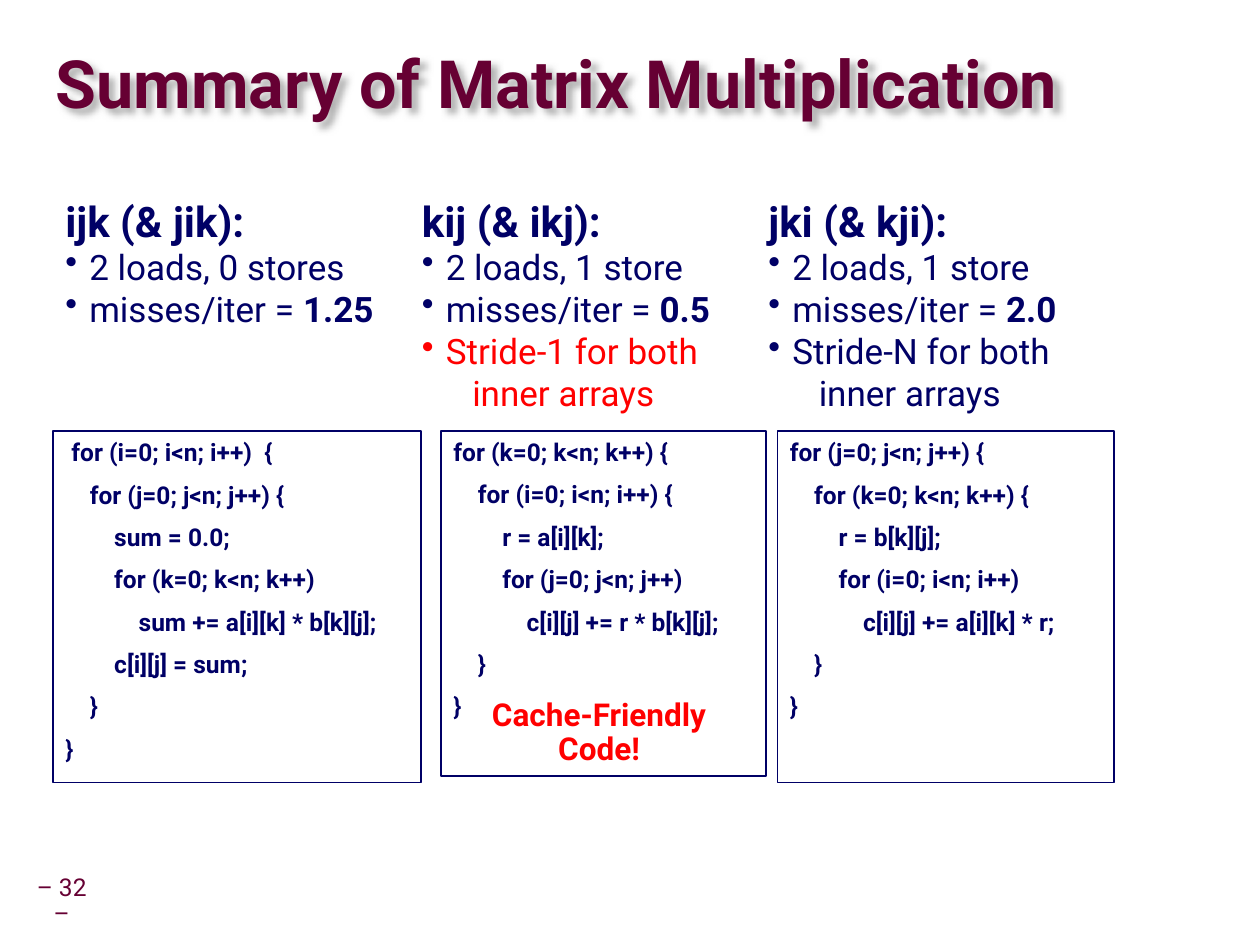
from lxml import etree
from pptx import Presentation
from pptx.dml.color import RGBColor
from pptx.enum.shapes import MSO_SHAPE
from pptx.enum.text import MSO_ANCHOR, PP_ALIGN
from pptx.oxml.ns import qn
from pptx.util import Inches, Pt

RECT = MSO_SHAPE.RECTANGLE
TOP, MIDDLE = MSO_ANCHOR.TOP, MSO_ANCHOR.MIDDLE
LEFT, CENTER = PP_ALIGN.LEFT, PP_ALIGN.CENTER
FONT = "Roboto"
COLORS = {"wine": "660033", "navy": "000066", "red": "FF0000", "gray": "808080"}

# Content
TITLE = "Summary of Matrix Multiplication"
PAGE = "– 32 –"
NOTE = ["Cache-Friendly", "Code!"]
# One entry per loop order; boxes are left, top, width, height
LOOPS = [
    {"head": "ijk (& jik):", "loads": "2 loads, 0 stores", "miss": "1.25",
     "stride": [], "tone": "navy",
     "text": (0.42, 1.5, 2.68, 1.16), "box": (0.42, 3.42, 2.92, 2.79),
     "code": [" for (i=0; i<n; i++)  {",
              "    for (j=0; j<n; j++) {",
              "        sum = 0.0;",
              "        for (k=0; k<n; k++)",
              "            sum += a[i][k] * b[k][j];",
              "        c[i][j] = sum;",
              "    }",
              "}"]},
    {"head": "kij (& ikj):", "loads": "2 loads, 1 store", "miss": "0.5",
     "stride": ["Stride-1 for both", "inner arrays"], "tone": "red",
     "text": (3.25, 1.5, 2.56, 1.85), "box": (3.5, 3.42, 2.58, 2.74),
     "code": ["for (k=0; k<n; k++) {",
              "    for (i=0; i<n; i++) {",
              "        r = a[i][k];",
              "        for (j=0; j<n; j++)",
              "            c[i][j] += r * b[k][j];",
              "    }",
              "}"]},
    {"head": "jki (& kji):", "loads": "2 loads, 1 store", "miss": "2.0",
     "stride": ["Stride-N for both", "inner arrays"], "tone": "navy",
     "text": (6, 1.5, 2.54, 1.85), "box": (6.17, 3.42, 2.67, 2.79),
     "code": ["for (j=0; j<n; j++) {",
              "    for (k=0; k<n; k++) {",
              "        r = b[k][j];",
              "        for (i=0; i<n; i++)",
              "            c[i][j] += a[i][k] * r;",
              "    }",
              "}"]},
]


def rgb(name):
    return RGBColor.from_string(COLORS[name])


def setup(shape, anchor=TOP, pad=(0.1, 0.05)):
    frame = shape.text_frame
    frame.word_wrap = True
    frame.vertical_anchor = anchor
    frame.margin_left = frame.margin_right = Inches(pad[0])
    frame.margin_top = frame.margin_bottom = Inches(pad[1])
    return frame


def add_text(slide, place, **opts):
    return setup(slide.shapes.add_textbox(*map(Inches, place)), **opts)


def add_line(frame, runs, align=LEFT, gap=0, pitch=None, hang=None, bullet=False):
    """Add a paragraph of (text, size, bold, color) runs."""
    first = not frame.paragraphs[0].runs
    para = frame.paragraphs[0] if first else frame.add_paragraph()
    para.alignment = align
    if gap and not first:
        para.space_before = Pt(gap)
    if pitch:
        para.line_spacing = pitch
    if hang:
        props = para._p.get_or_add_pPr()
        props.set("marL", str(Inches(hang)))
        props.set("indent", str(-Inches(hang) if bullet else 0))
        if bullet:
            etree.SubElement(props, qn("a:buChar")).set("char", "•")
    for text, size, bold, color in runs:
        run = para.add_run()
        run.text = text
        run.font.name = FONT
        run.font.size = Pt(size)
        run.font.bold = bold
        run.font.color.rgb = rgb(color)


def add_shadow(shape):
    effect = etree.SubElement(shape._element.spPr, qn("a:effectLst"))
    outer = etree.SubElement(effect, qn("a:outerShdw"), blurRad=str(Pt(4)),
                             dist=str(Pt(4)), dir="2700000", algn="tl")
    tint = etree.SubElement(outer, qn("a:srgbClr"), val=COLORS["gray"])
    etree.SubElement(tint, qn("a:alpha"), val="60000")


def add_facts(slide, loop):
    frame = add_text(slide, loop["text"])
    add_line(frame, [(loop["head"], 24, True, "navy")])
    facts = [[(loop["loads"], 20, False, "navy")],
             [("misses/iter = ", 20, False, "navy"),
              (loop["miss"], 20, True, "navy")]]
    facts += [[(text, 20, False, loop["tone"])] for text in loop["stride"][:1]]
    for runs in facts:
        add_line(frame, runs, hang=0.19, bullet=True)
    for text in loop["stride"][1:]:
        add_line(frame, [(text, 20, False, loop["tone"])], hang=0.4)


def add_code(slide, loop):
    box = slide.shapes.add_shape(RECT, *map(Inches, loop["box"]))
    box.shadow.inherit = False
    box.fill.background()
    box.line.color.rgb = rgb("navy")
    box.line.width = Pt(1)
    frame = setup(box)
    for text in loop["code"]:
        add_line(frame, [(text, 14, True, "navy")], gap=7.4)


def main():
    deck = Presentation()
    deck.slide_width, deck.slide_height = Inches(10), Inches(7.5)
    slide = deck.slides.add_slide(deck.slide_layouts[6])

    # Page number and title
    page = add_text(slide, (0.19, 7, 0.6, 0.31), anchor=MIDDLE, pad=(0.05, 0.05))
    add_line(page, [(PAGE, 14, False, "wine")], align=CENTER, pitch=0.9)
    title = slide.shapes.add_textbox(*map(Inches, (0.44, 0.27, 9.53, 0.85)))
    add_line(setup(title, MIDDLE, (0, 0)), [(TITLE, 38, True, "wine")], pitch=0.87)
    add_shadow(title)

    # Loop orders: facts above, code below
    for loop in LOOPS:
        add_facts(slide, loop)
        add_code(slide, loop)

    # Verdict on the middle loop
    note = add_text(slide, (3.74, 5.5, 2.03, 0.65))
    for text in NOTE:
        add_line(note, [(text, 18, True, "red")], align=CENTER, pitch=0.9)

    deck.save("out.pptx")


if __name__ == "__main__":
    main()
